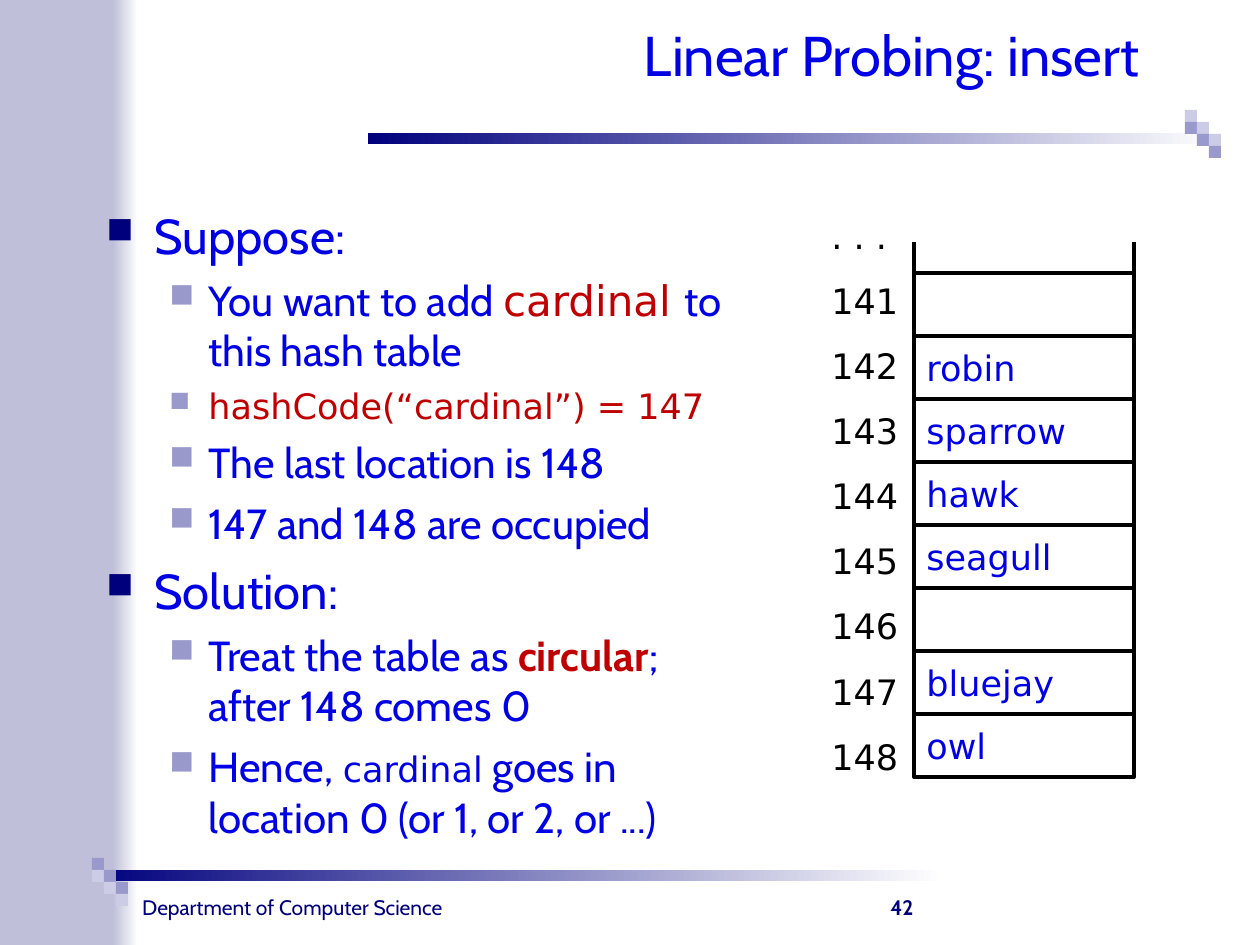
from lxml import etree
from pptx import Presentation
from pptx.dml.color import RGBColor
from pptx.enum.shapes import MSO_CONNECTOR as Connector, MSO_SHAPE as Shape
from pptx.enum.text import MSO_ANCHOR as Anchor, PP_ALIGN as Align
from pptx.oxml.ns import qn
from pptx.util import Emu, Pt

EMU_PER_PX = 914400 / 126
COLORS = {"navy": "00007D", "blue": "0000E5", "red": "C00000", "black": "000000",
          "white": "FFFFFF", "side": "BFBFDA", "violet": "9999CC", "pale": "CCCCE6"}
SANS, MONO = "Cabin", "DejaVu Sans"

# Each bullet: level, space before in points, runs of (text, size, font, colour, bold)
BULLETS = [
    (0, 0, [("Suppose:", 28, SANS, "blue", False)]),
    (1, 6, [("You want to add ", 24, SANS, "blue", False),
            ("cardinal ", 24, MONO, "red", False),
            ("to this hash table", 24, SANS, "blue", False)]),
    (1, 5, [("hashCode(“cardinal”) = 147", 20, MONO, "red", False)]),
    (1, 6, [("The last location is 148", 24, SANS, "blue", False)]),
    (1, 6, [("147 and 148 are occupied", 24, SANS, "blue", False)]),
    (0, 7, [("Solution:", 28, SANS, "blue", False)]),
    (1, 6, [("Treat the table as ", 24, SANS, "blue", False),
            ("circular", 24, SANS, "red", True),
            ("; after 148 comes 0", 24, SANS, "blue", False)]),
    (1, 6, [("Hence, ", 24, SANS, "blue", False),
            ("cardinal", 20, MONO, "blue", False),
            (" goes in location 0 (or 1, or 2, or ...)", 24, SANS, "blue", False)]),
]
# Each level: left margin and hanging indent in px, bullet colour, bullet size in percent
LEVELS = [(48, 48, "navy", 75), (102, 39, "violet", 80)]
TABLE = ["", "robin", "sparrow", "hawk", "seagull", "", "bluejay", "owl"]
FIRST_INDEX = 141


def px(length):
    return Emu(round(length * EMU_PER_PX))


def color(name):
    return RGBColor.from_string(COLORS[name])


def style(font, size, name, tint, bold=False):
    font.size, font.name, font.bold = Pt(size), name, bold
    font.color.rgb = color(tint)


def add_rect(page, left, top, width, height, *tints):
    """Borderless rectangle: one tint is solid, two make a left-to-right gradient."""
    box = page.shapes.add_shape(Shape.RECTANGLE, px(left), px(top), px(width), px(height))
    box.shadow.inherit = False
    box.line.fill.background()
    if len(tints) == 1:
        box.fill.solid()
        box.fill.fore_color.rgb = color(tints[0])
    else:
        box.fill.gradient()
        box.fill.gradient_angle = 0
        for stop, tint in zip(box.fill.gradient_stops, tints):
            stop.color.rgb = color(tint)


def add_stairs(page, left, top, upper, lower):
    """Three columns of two squares, each column one step lower."""
    step = 12
    for col in range(3):
        for row, tint in enumerate((upper, lower)):
            add_rect(page, left + col * step, top + (col + row) * step, step, step, tint)


def add_text_box(page, left, top, width, height, anchor=Anchor.TOP):
    box = page.shapes.add_textbox(px(left), px(top), px(width), px(height))
    box.text_frame.word_wrap = True
    box.text_frame.vertical_anchor = anchor
    return box.text_frame


def add_line_of_text(page, text, place, anchor, align, size, tint, bold=False):
    frame = add_text_box(page, *place, anchor)
    frame.text = text
    para = frame.paragraphs[0]
    para.alignment = align
    style(para.runs[0].font, size, SANS, tint, bold)


def set_bullet(para, level):
    margin, hanging, tint, percent = LEVELS[level]
    props = para._p.get_or_add_pPr()
    props.set("marL", str(px(margin)))
    props.set("indent", str(-px(hanging)))
    bullet_color = etree.SubElement(props, qn("a:buClr"))
    etree.SubElement(bullet_color, qn("a:srgbClr"), val=COLORS[tint])
    etree.SubElement(props, qn("a:buSzPct"), val=str(percent * 1000))
    etree.SubElement(props, qn("a:buFont"), typeface="Wingdings")
    etree.SubElement(props, qn("a:buChar"), char="n")  # filled square


def add_bullets(page):
    frame = add_text_box(page, 94, 199, 662, 683)
    for number, (level, space, spans) in enumerate(BULLETS):
        para = frame.add_paragraph() if number else frame.paragraphs[0]
        set_bullet(para, level)
        para.level = level
        para.space_before = Pt(space)
        for text, *look in spans:
            span = para.add_run()
            span.text = text
            style(span.font, *look)


def add_cell(page, text, left, top, width, height):
    cell = page.shapes.add_shape(Shape.FLOWCHART_PROCESS,
                                 px(left), px(top), px(width), px(height))
    cell.shadow.inherit = False
    cell.fill.background()
    cell.line.color.rgb = color("black")
    cell.line.width = Pt(2.25)
    if text:
        cell.text_frame.text = text
        cell.text_frame.vertical_anchor = Anchor.MIDDLE
        para = cell.text_frame.paragraphs[0]
        para.alignment = Align.LEFT
        style(para.runs[0].font, 20, MONO, "blue")


def add_side_line(page, x, bottom, top):
    line = page.shapes.add_connector(Connector.STRAIGHT, px(x), px(bottom), px(x), px(top))
    line.line.color.rgb = color("black")
    line.line.width = Pt(2.25)
    etree.SubElement(line._element.spPr, qn("a:effectLst"))


def add_hash_table(page):
    left, top, width, height = 914, 273, 220, 63
    for row, text in enumerate(TABLE):
        add_cell(page, text, left, top + row * height, width, height)

    # Index labels
    frame = add_text_box(page, 819, 208, 95, 630)
    indexes = range(FIRST_INDEX, FIRST_INDEX + len(TABLE))
    frame.text = "\n".join([". . .", *map(str, indexes)])
    for number, para in enumerate(frame.paragraphs):
        para.space_before = Pt(13.2 if number else 0)
        style(para.runs[0].font, 20, MONO, "black")

    # Sides running on above the first cell
    for x in (left, left + width):
        add_side_line(page, x, top + len(TABLE) * height, top - height // 2)


def main():
    deck = Presentation()
    deck.slide_width, deck.slide_height = px(1260), px(945)
    page = deck.slides.add_slide(deck.slide_layouts[6])

    # Side band and decorated rules
    add_rect(page, 113, 0, 25, 945, "side", "white")
    add_rect(page, 0, 0, 113, 945, "side")
    add_rect(page, 92, 870, 852, 11, "navy", "white")
    add_stairs(page, 92, 858, "violet", "pale")
    add_rect(page, 368, 133, 852, 11, "navy", "white")
    add_stairs(page, 1185, 110, "pale", "violet")

    # Footer, page number and title
    add_line_of_text(page, "Department of Computer Science", (115, 888, 355, 38),
                     Anchor.TOP, Align.CENTER, 12, "navy")
    add_line_of_text(page, "42", (435, 863, 491, 63),
                     Anchor.BOTTOM, Align.RIGHT, 12, "navy", True)
    add_line_of_text(page, "Linear Probing: insert", (10, 10, 1142, 84),
                     Anchor.BOTTOM, Align.RIGHT, 32, "blue")

    # Content
    add_bullets(page)
    add_hash_table(page)
    deck.save("out.pptx")


if __name__ == "__main__":
    main()
